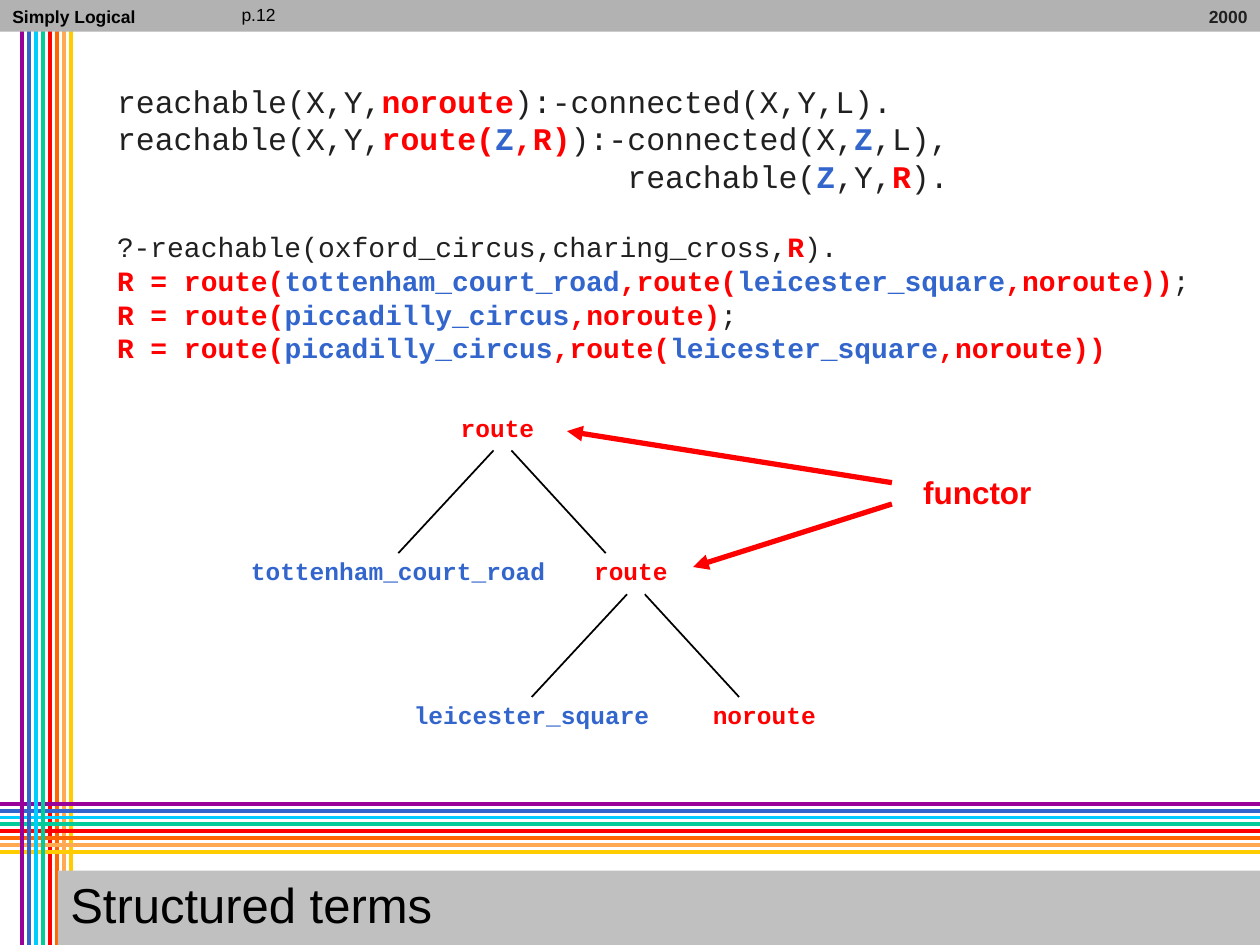
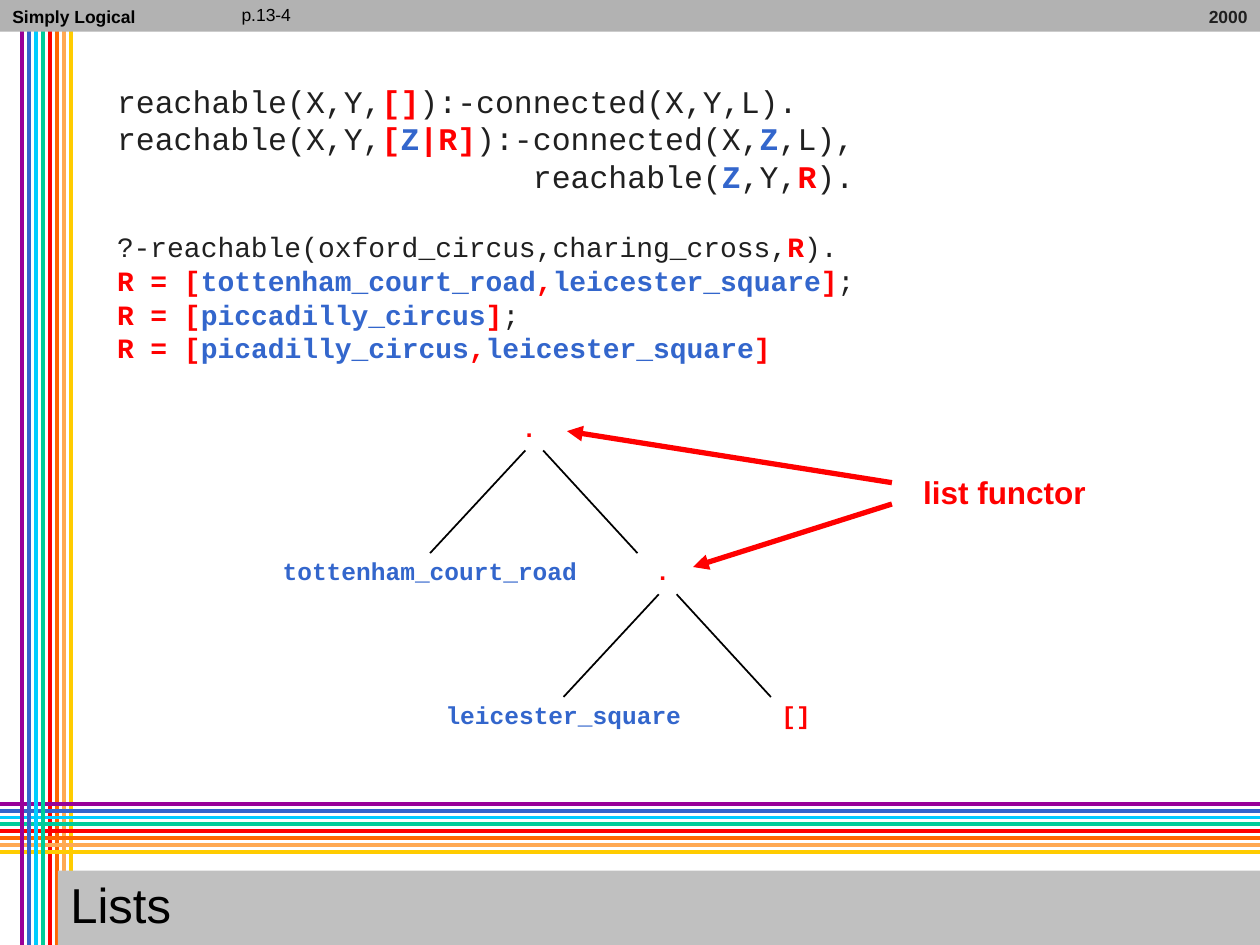
from typing import NamedTuple

from lxml.etree import SubElement
from pptx import Presentation
from pptx.dml.color import RGBColor
from pptx.enum.shapes import MSO_CONNECTOR as Conn, MSO_SHAPE as Shape
from pptx.enum.text import MSO_ANCHOR as Anchor, PP_ALIGN as Align
from pptx.oxml.ns import qn
from pptx.util import Cm, Pt

WIDTH, HEIGHT = 25.4, 19.05
BLACK, INK, RED, BLUE = "000000", "202020", "FF0000", "3366CC"
STRIPES = ["990099", BLUE, "00CCFF", "00CC99", RED, "FF6600", "FFA953", "FFCC00"]
STRIPE_GAP, STRIPE_LEFT, STRIPE_TOP = 0.14, 0.45, 16.2
SANS, MONO = "Arial", "Courier New"
LEVEL_TOP, LEVEL_STEP = 8.26, 2.9
LEFT_BRANCH, RIGHT_BRANCH = -2.0, 2.69


class Box(NamedTuple):
    left: float
    top: float
    width: float
    height: float


class Run(NamedTuple):
    text: str
    color: str = INK
    bold: bool = False


class Line(NamedTuple):
    start: tuple[float, float]
    end: tuple[float, float]
    color: str
    weight: float
    arrow: bool = False


class Topic(NamedTuple):
    title: str
    page: str
    clauses: list[list[Run]]
    query: list[list[Run]]
    functor: str
    empty: str
    label: str
    root_x: float


def red(text: str) -> Run:
    return Run(text, RED, True)


def blue(text: str) -> Run:
    return Run(text, BLUE, True)


def rgb(color: str) -> RGBColor:
    return RGBColor.from_string(color)


def add_runs(p, runs: list[Run], font: str, size: float) -> None:
    for run in runs:
        r = p.add_run()
        r.text = run.text
        for name, value in {"name": font, "size": Pt(size), "bold": run.bold}.items():
            setattr(r.font, name, value)
        r.font.color.rgb = rgb(run.color)


def add_text(slide, box: Box, run: Run, font: str, size: float,
             align=Align.LEFT, wrap: bool = True):
    sp = slide.shapes.add_textbox(*map(Cm, box))
    tf = sp.text_frame
    tf.word_wrap = wrap
    p = tf.paragraphs[0]
    p.alignment, p.line_spacing = align, 0.9
    add_runs(p, [run], font, size)
    return sp


def add_band(slide, box: Box, color: str):
    sp = slide.shapes.add_shape(Shape.RECTANGLE, *map(Cm, box))
    sp.shadow.inherit = False
    sp.fill.solid()
    sp.fill.fore_color.rgb = rgb(color)
    sp.line.fill.background()
    return sp


def add_line(slide, line: Line) -> None:
    cxn = slide.shapes.add_connector(Conn.STRAIGHT, *map(Cm, line.start + line.end))
    cxn.line.color.rgb = rgb(line.color)
    cxn.line.width = Pt(line.weight)
    props = cxn.line._get_or_add_ln()
    if line.arrow:
        SubElement(props, qn("a:tailEnd"), type="triangle")
    SubElement(props.getparent(), qn("a:effectLst"))


def add_stripes(slide) -> None:
    """Weave the rows between the two halves of the columns."""
    columns = [Line((x, 0), (x, HEIGHT), color, 2.25) for i, color in enumerate(STRIPES)
               for x in [STRIPE_LEFT + i * STRIPE_GAP]]
    rows = [Line((WIDTH, y), (0, y), color, 2.25) for i, color in enumerate(STRIPES)
            for y in [STRIPE_TOP + i * STRIPE_GAP]]
    for line in columns[4:] + rows + columns[:4]:
        add_line(slide, line)


def add_frame(slide, topic: Topic) -> None:
    add_stripes(slide)
    add_band(slide, Box(0, 0, WIDTH, 0.64), "B2B2B2")
    add_text(slide, Box(4.62, 0, 3, 0.64), Run(topic.page, BLACK), SANS, 10)
    add_text(slide, Box(0, 0.05, 5.08, 0.64), Run("Simply Logical", BLACK, True), SANS, 10)
    add_text(slide, Box(18.54, 0.05, 6.86, 0.64), Run("2000", INK, True), SANS, 10, Align.RIGHT)

    tf = add_band(slide, Box(1.17, 17.55, 24.23, 1.5), "C0C0C0").text_frame
    tf.vertical_anchor = Anchor.MIDDLE
    p = tf.paragraphs[0]
    p.alignment, p.line_spacing = Align.LEFT, 0.9
    add_runs(p, [Run(topic.title, BLACK)], SANS, 28)


def add_code(slide, topic: Topic) -> None:
    tf = slide.shapes.add_textbox(*map(Cm, Box(2.11, 1.52, 22.43, 5.94))).text_frame
    tf.word_wrap = True
    lines = [(runs, 18) for runs in topic.clauses] + [(runs, 16) for runs in topic.query]
    for i, (runs, size) in enumerate(lines):
        p = tf.add_paragraph() if i else tf.paragraphs[0]
        p.line_spacing = Pt(size * 1.2)
        if i == len(topic.clauses):
            p.space_before = Pt(20)
        add_runs(p, runs, MONO, size)


def add_node(slide, center: float, top: float, run: Run) -> None:
    width = 0.5 + 0.3 * len(run.text)
    add_text(slide, Box(center - width / 2, top, width, 0.79), run, MONO, 14,
             Align.CENTER, wrap=False)


def add_tree(slide, topic: Topic) -> None:
    x, y = topic.root_x, LEVEL_TOP
    for station in ("tottenham_court_road", "leicester_square"):
        add_node(slide, x, y, red(topic.functor))
        add_node(slide, x + LEFT_BRANCH, y + LEVEL_STEP, blue(station))
        for near, far in ((0.28, 2.18), (-0.08, -2.0)):
            add_line(slide, Line((x + near, y + 0.82), (x + far, y + 2.89), BLACK, 1))
        x, y = x + RIGHT_BRANCH, y + LEVEL_STEP
    add_node(slide, x, y, red(topic.empty))


def add_callout(slide, topic: Topic) -> None:
    sp = add_text(slide, Box(18.36, 9.5, 5, 0.94), red(topic.label), SANS, 18)
    fill = sp.text_frame.paragraphs[0].runs[0].font._element.find(qn("a:solidFill"))
    effects = SubElement(fill.getparent(), qn("a:effectLst"))
    shadow = SubElement(effects, qn("a:outerShdw"), dist="17961", dir="2700000")
    SubElement(shadow, qn("a:srgbClr"), val="808080")
    fill.addnext(effects)
    for start, end in (((17.98, 9.73), (11.43, 8.69)), ((17.98, 10.16), (13.97, 11.43))):
        add_line(slide, Line(start, end, RED, 3, arrow=True))


QUESTION = [Run("?-reachable(oxford_circus,charing_cross,"), red("R"), Run(").")]
HEAD = Run("reachable(X,Y,")
BASE_BODY = Run("):-connected(X,Y,L).")
STEP_BODY = [Run("):-connected(X,"), blue("Z"), Run(",L),")]
RECURSION = [Run("reachable("), blue("Z"), Run(",Y,"), red("R"), Run(").")]

TOPICS = [
    Topic(
        "Structured terms", "p.12",
        [[HEAD, red("noroute"), BASE_BODY],
         [HEAD, red("route("), blue("Z"), red(",R)"), *STEP_BODY],
         [Run(" " * 27), *RECURSION]],
        [QUESTION,
         [red("R = route("), blue("tottenham_court_road"), red(",route("),
          blue("leicester_square"), red(",noroute))"), Run(";")],
         [red("R = route("), blue("piccadilly_circus"), red(",noroute)"), Run(";")],
         [red("R = route("), blue("picadilly_circus"), red(",route("),
          blue("leicester_square"), red(",noroute))")]],
        "route", "noroute", "functor", 10.03),
    Topic(
        "Lists", "p.13-4",
        [[HEAD, red("[]"), BASE_BODY],
         [HEAD, red("["), blue("Z"), red("|R]"), *STEP_BODY],
         [Run(" " * 22), *RECURSION]],
        [QUESTION,
         [red("R = ["), blue("tottenham_court_road"), red(","),
          blue("leicester_square"), red("]"), Run(";")],
         [red("R = ["), blue("piccadilly_circus"), red("]"), Run(";")],
         [red("R = ["), blue("picadilly_circus"), red(","),
          blue("leicester_square"), red("]")]],
        ".", "[]", "list functor", 10.67),
]


def main() -> None:
    prs = Presentation()
    prs.slide_width, prs.slide_height = Cm(WIDTH), Cm(HEIGHT)
    for topic in TOPICS:
        slide = prs.slides.add_slide(prs.slide_layouts[6])
        add_frame(slide, topic)
        add_tree(slide, topic)
        add_code(slide, topic)
        add_callout(slide, topic)
    prs.save("out.pptx")


if __name__ == "__main__":
    main()
